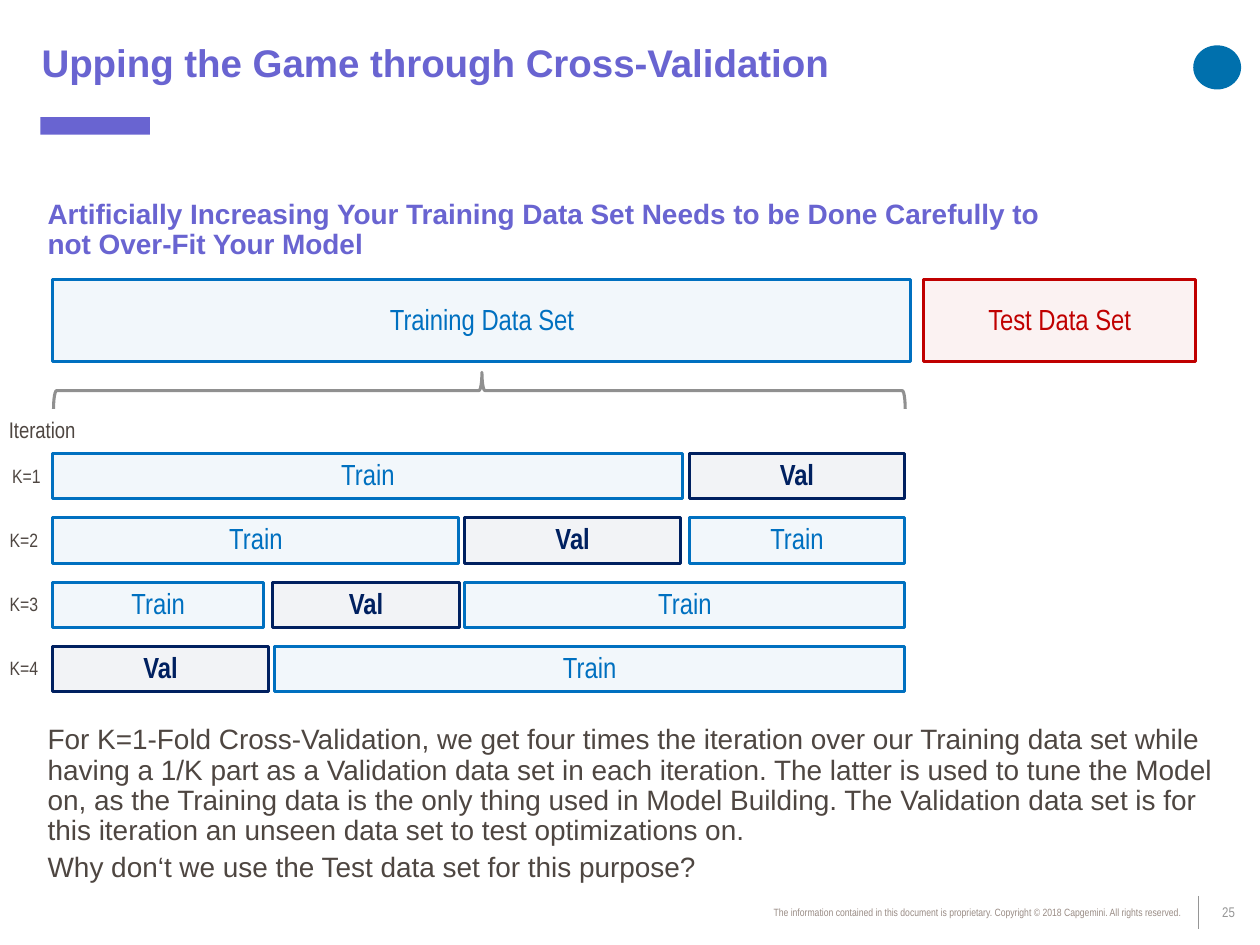
"""Build a slide that explains K-fold cross-validation."""
import pptx
import pptx.util
import pptx.dml.color
import pptx.enum.shapes
import pptx.enum.text
import pptx.oxml
import pptx.oxml.ns
from pptx.util import Inches

COLORS = {
    "violet": "6964D1", "train": "0070C0", "val": "002060", "test": "C00000",
    "text": "4E4641", "brace": "909090", "rule": "969696", "footer": "998C85",
    "emblem": "0070AD",
}
RGB = {name: pptx.dml.color.RGBColor.from_string(value) for name, value in COLORS.items()}
SHAPE = pptx.enum.shapes.MSO_SHAPE
ALIGN = pptx.enum.text.PP_ALIGN
ANCHOR = pptx.enum.text.MSO_ANCHOR


def write(holder, paragraphs, size, color, font="Arial Narrow", bold=False, align=ALIGN.LEFT,
          anchor=ANCHOR.MIDDLE, insets=(0.1, 0.05, 0.1, 0.05), leading=0.9, after=0):
    frame = holder.text_frame
    frame.word_wrap = True
    frame.auto_size = pptx.enum.text.MSO_AUTO_SIZE.NONE
    frame.vertical_anchor = anchor
    frame.margin_left, frame.margin_top, frame.margin_right, frame.margin_bottom = map(Inches, insets)
    for index, words in enumerate(paragraphs):
        paragraph = frame.add_paragraph() if index else frame.paragraphs[0]
        paragraph.alignment = align
        paragraph.line_spacing = leading
        paragraph.space_before = pptx.util.Pt(0)
        paragraph.space_after = pptx.util.Pt(after)
        run = paragraph.add_run()
        run.text = words
        run.font.name = font
        run.font.size = pptx.util.Pt(size)
        run.font.bold = bold
        run.font.color.rgb = RGB[color]


def add_block(left, top, width, height, label, color, bold=False):
    block = slide.shapes.add_shape(SHAPE.RECTANGLE, Inches(left), Inches(top), Inches(width), Inches(height))
    block.shadow.inherit = False
    block.fill.solid()
    block.fill.fore_color.rgb = RGB[color]
    fill_color = block.fill._xPr.find(".//" + pptx.oxml.ns.qn("a:srgbClr"))
    fill_color.append(pptx.oxml.parse_xml(f'<a:alpha {pptx.oxml.ns.nsdecls("a")} val="5000"/>'))
    block.line.color.rgb = RGB[color]
    block.line.width = pptx.util.Pt(1.75)
    write(block, [label], 16.6, color, bold=bold, align=ALIGN.CENTER)


presentation = pptx.Presentation()
presentation.slide_width = Inches(10)
presentation.slide_height = Inches(7.5)
slide = presentation.slides.add_slide(presentation.slide_layouts[5])

title = slide.shapes.title
title.left, title.top, title.width, title.height = Inches(0), Inches(-0.03), Inches(10), Inches(1.1)
write(title, ["Upping the Game through Cross-Validation"], 22, "violet", font="Arial", bold=True,
      insets=(0.33, 0.04, 0.18, 0.04))

for outline, left, top, width, height, color in (
    (SHAPE.OVAL, 9.47, 0.36, 0.38, 0.35, "emblem"),
    (SHAPE.RECTANGLE, 0.32, 0.93, 0.87, 0.14, "violet"),
):
    accent = slide.shapes.add_shape(outline, Inches(left), Inches(top), Inches(width), Inches(height))
    accent.shadow.inherit = False
    accent.fill.solid()
    accent.fill.fore_color.rgb = RGB[color]
    accent.line.fill.background()

footer_rule = slide.shapes.add_connector(
    pptx.enum.shapes.MSO_CONNECTOR.STRAIGHT, Inches(9.51), Inches(7.11), Inches(9.51), Inches(7.37))
footer_rule.line.color.rgb = RGB["rule"]
footer_rule.line.width = pptx.util.Pt(0.75)
footer_rule._element.spPr.append(pptx.oxml.parse_xml(f'<a:effectLst {pptx.oxml.ns.nsdecls("a")}/>'))

page_number = slide.shapes.add_textbox(Inches(9.51), Inches(7.11), Inches(0.49), Inches(0.27))
write(page_number, ["25"], 8, "rule", insets=(0.19, 0.05, 0, 0.05), leading=0.85)

copyright_line = slide.shapes.add_textbox(Inches(4.49), Inches(7.16), Inches(4.98), Inches(0.19))
write(copyright_line,
      ["The information contained in this document is proprietary. "
       "Copyright © 2018 Capgemini. All rights reserved."],
      6, "footer", align=ALIGN.RIGHT, anchor=ANCHOR.TOP, leading=0.85)

subtitle = slide.shapes.add_textbox(Inches(0.28), Inches(1.54), Inches(8.27), Inches(0.57))
write(subtitle,
      ["Artificially Increasing Your Training Data Set Needs to be Done Carefully to "
       "not Over-Fit Your Model"],
      16, "violet", font="Arial", bold=True, anchor=ANCHOR.TOP, after=3.7)

add_block(0.42, 2.22, 6.81, 0.65, "Training Data Set", "train")
add_block(7.33, 2.22, 2.16, 0.65, "Test Data Set", "test")

brace = slide.shapes.add_shape(SHAPE.RIGHT_BRACE, Inches(3.66), Inches(-0.28), Inches(0.29), Inches(6.76))
brace.rotation = 270
brace.adjustments[0] = 0.083
brace.adjustments[1] = 0.503
brace.shadow.inherit = False
brace.fill.background()
brace.line.color.rgb = RGB["brace"]
brace.line.width = pptx.util.Pt(1.75)

iteration_heading = slide.shapes.add_textbox(Inches(-0.02), Inches(3.24), Inches(1.09), Inches(0.36))
write(iteration_heading, ["Iteration"], 12.9, "text", insets=(0.09, 0.05, 0.09, 0.05), after=3.7)

folds = [
    [("Train", 0.42, 5), ("Val", 5.47, 1.71)],
    [("Train", 0.42, 3.22), ("Val", 3.69, 1.71), ("Train", 5.47, 1.71)],
    [("Train", 0.42, 1.67), ("Val", 2.16, 1.49), ("Train", 3.69, 3.49)],
    [("Val", 0.42, 1.71), ("Train", 2.18, 5)],
]
for index, fold in enumerate(folds):
    fold_top = 3.6 + 0.51 * index
    for part, left, width in fold:
        add_block(left, fold_top, width, 0.36, part, part.lower(), bold=part == "Val")
    fold_left = -0.02 if index else 0
    fold_label = slide.shapes.add_textbox(
        Inches(fold_left), Inches(fold_top + 0.01), Inches(0.42), Inches(0.36))
    write(fold_label, [f"K={index + 1}"], 11, "text", align=ALIGN.CENTER,
          insets=(0, 0.05, 0, 0.05), leading=0.8, after=3.7)

explanation = slide.shapes.add_textbox(Inches(0.28), Inches(6.04), Inches(9.45), Inches(1.02))
write(explanation,
      ["For K=1-Fold Cross-Validation, we get four times the iteration over our Training data set "
       "while having a 1/K part as a Validation data set in each iteration. The latter is used to "
       "tune the Model on, as the Training data is the only thing used in Model Building. The "
       "Validation data set is for this iteration an unseen data set to test optimizations on.",
       "Why don‘t we use the Test data set for this purpose?"],
      16, "text", font="Arial", anchor=ANCHOR.BOTTOM, after=3.7)

presentation.save("out.pptx")
